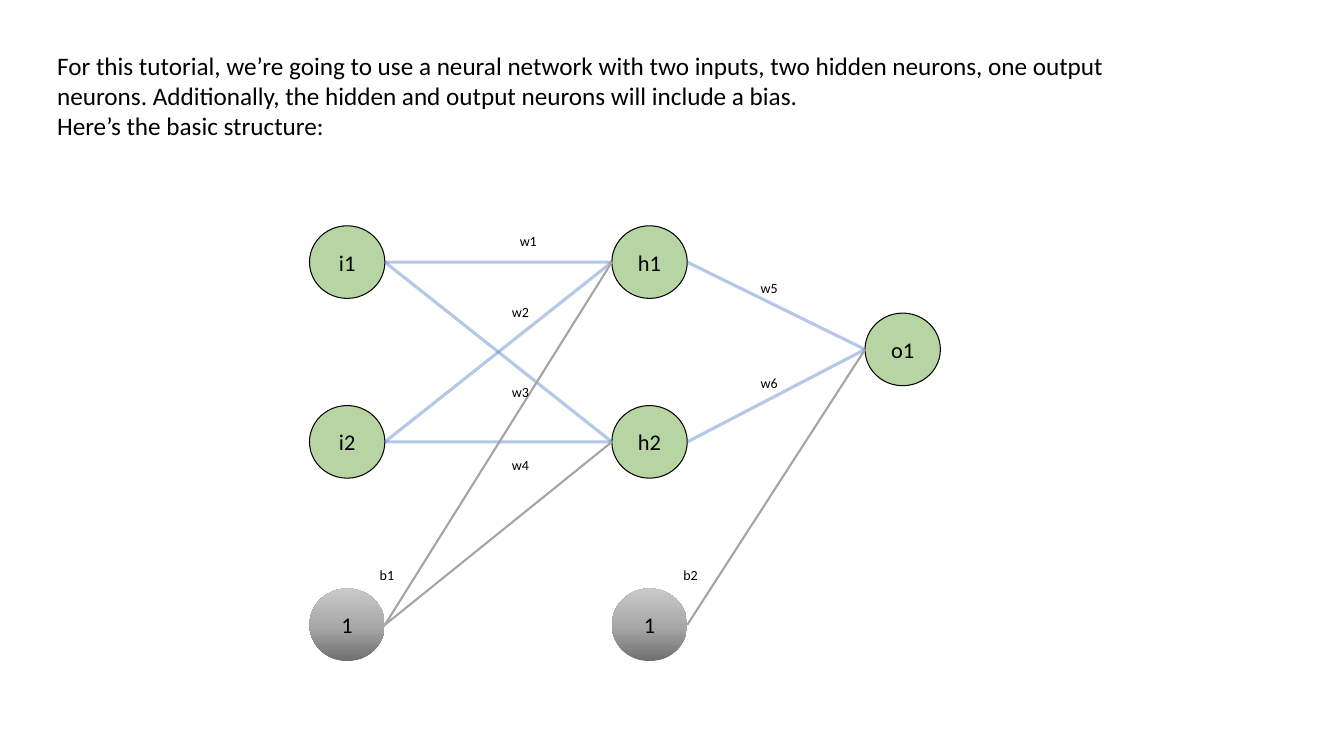
from copy import deepcopy

from lxml import etree
from pptx import Presentation
from pptx.dml.color import RGBColor
from pptx.enum.shapes import MSO_CONNECTOR, MSO_SHAPE
from pptx.enum.text import MSO_ANCHOR, PP_ALIGN
from pptx.oxml.ns import qn
from pptx.util import Cm, Pt

STRAIGHT = MSO_CONNECTOR.STRAIGHT
OVAL = MSO_SHAPE.OVAL
MIDDLE = MSO_ANCHOR.MIDDLE
CENTER = PP_ALIGN.CENTER

FONT = "Calibri"
BLACK, GREEN, BLUE, GRAY = "000000", "70AD47", "4472C4", "A5A5A5"
BIAS_STOPS = [(0, "6F6F6F"), (0.48, "A8A8A8"), (1, "C9C9C9")]

NODE_WIDTH, NODE_HEIGHT = 1.9, 1.83
INPUT, HIDDEN, OUTPUT = 0, 7.62, 14
TOP, MIDWAY, BOTTOM, BIAS = 0, 2.2, 4.53, 9.14
NEURONS = {
    "i1": (INPUT, TOP), "i2": (INPUT, BOTTOM),
    "h1": (HIDDEN, TOP), "h2": (HIDDEN, BOTTOM),
    "o1": (OUTPUT, MIDWAY),
}
BIASES = {"b1": (INPUT, BIAS), "b2": (HIDDEN, BIAS)}
WEIGHT_LINKS = [("i1", "h1"), ("i2", "h2"), ("i1", "h2"),
                ("i2", "h1"), ("h1", "o1"), ("h2", "o1")]
BIAS_LINKS = [("b1", "h1"), ("b1", "h2"), ("b2", "o1")]
LINK_LABELS = {
    "w1": (5.05, 0.05), "w2": (4.85, 1.83), "w3": (4.85, 3.84),
    "w4": (4.85, 5.69), "w5": (11.12, 1.22), "w6": (11.12, 3.63),
    "b1": (1.52, 8.46), "b2": (9.17, 8.46),
}
INTRO = [
    "For this tutorial, we’re going to use a neural network with two inputs, "
    "two hidden neurons, one output neurons. Additionally, the hidden and "
    "output neurons will include a bias.",
    "Here’s the basic structure:",
]


def color(hex_text):
    return RGBColor.from_string(hex_text)


def paint(fill, hex_text, opacity):
    fill.solid()
    fill.fore_color.rgb = color(hex_text)
    xml_color = fill._xPr.find(".//" + qn("a:srgbClr"))
    etree.SubElement(xml_color, qn("a:alpha")).set("val", str(opacity * 1000))


def paint_gradient(fill, stops):
    fill.gradient()
    fill.gradient_angle = 90
    stop_list = fill._xPr.find(".//" + qn("a:gsLst"))
    stop_list.append(deepcopy(stop_list[-1]))
    for stop, (position, hex_text) in zip(fill.gradient_stops, stops):
        stop.position = position
        stop.color.rgb = color(hex_text)


def write(frame, lines, size):
    frame.word_wrap = True
    for index, line in enumerate(lines):
        para = frame.add_paragraph() if index else frame.paragraphs[0]
        para.text = line
        para.font.name = FONT
        para.font.size = Pt(size)
        para.font.color.rgb = color(BLACK)


def add_text(page, left, top, width, height, lines, size):
    box = page.shapes.add_textbox(Cm(left), Cm(top), Cm(width), Cm(height))
    write(box.text_frame, lines, size)


def add_node(page, left, top, label):
    node = page.shapes.add_shape(OVAL, Cm(left), Cm(top),
                                 Cm(NODE_WIDTH), Cm(NODE_HEIGHT))
    node.shadow.inherit = False
    frame = node.text_frame
    write(frame, [label], 16)
    frame.margin_left = frame.margin_right = 0
    frame.margin_top = frame.margin_bottom = 0
    frame.vertical_anchor = MIDDLE
    frame.paragraphs[0].alignment = CENTER
    return node


def add_neuron(page, left, top, label):
    node = add_node(page, left, top, label)
    paint(node.fill, GREEN, 50)
    node.line.color.rgb = color(BLACK)
    node.line.width = Pt(0.75)
    return node


def add_bias(page, left, top):
    node = add_node(page, left, top, "1")
    paint_gradient(node.fill, BIAS_STOPS)
    node.line.fill.background()
    return node


def add_link(page, start, end, hex_text, width, opacity):
    link = page.shapes.add_connector(STRAIGHT, 0, 0, 0, 0)
    link.begin_connect(start, 3)
    link.end_connect(end, 1)
    ends = link._element.nvCxnSpPr.cNvCxnSpPr
    ends.find(qn("a:stCxn")).set("idx", "6")
    ends.find(qn("a:endCxn")).set("idx", "2")
    link.line.width = Pt(width)
    paint(link.line.fill, hex_text, opacity)
    etree.SubElement(link._element.spPr, qn("a:effectLst"))


def add_network(page, left, top):
    nodes = {name: add_neuron(page, left + x, top + y, name)
             for name, (x, y) in NEURONS.items()}
    nodes.update({name: add_bias(page, left + x, top + y)
                  for name, (x, y) in BIASES.items()})
    for start, end in WEIGHT_LINKS:
        add_link(page, nodes[start], nodes[end], BLUE, 2.25, 39)
    for start, end in BIAS_LINKS:
        add_link(page, nodes[start], nodes[end], GRAY, 1.5, 100)
    for label, (x, y) in LINK_LABELS.items():
        add_text(page, left + x, top + y, 1.35, 0.69, [label], 10)


deck = Presentation()
deck.slide_width, deck.slide_height = Cm(33.87), Cm(19.05)
page = deck.slides.add_slide(deck.slide_layouts[6])
add_network(page, 7.8, 5.69)
add_text(page, 1.19, 1.14, 29.1, 2.57, INTRO, 18)
deck.save("out.pptx")
